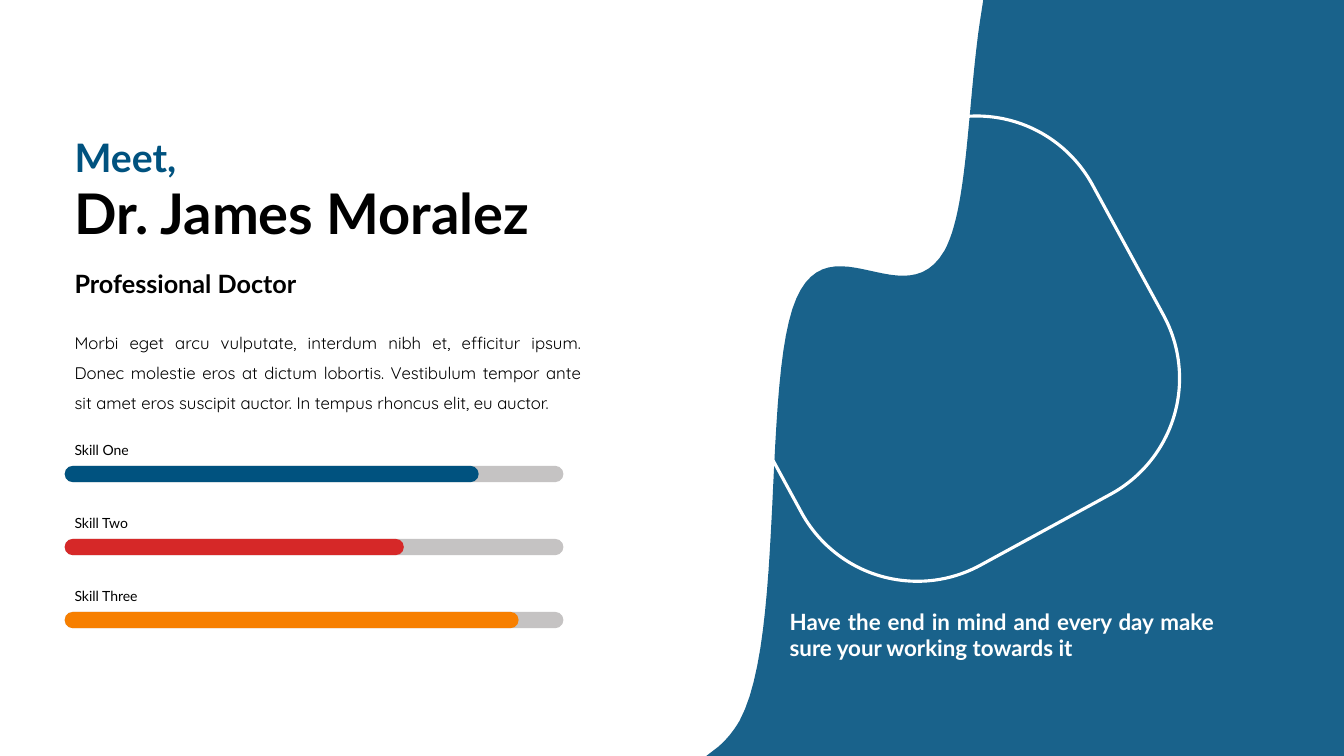
from dataclasses import dataclass

from lxml import etree
from pptx import Presentation
from pptx.dml.color import RGBColor
from pptx.enum.shapes import MSO_SHAPE
from pptx.enum.text import MSO_ANCHOR, MSO_AUTO_SIZE, PP_ALIGN
from pptx.oxml.ns import qn
from pptx.util import Cm, Pt

ROUND = MSO_SHAPE.ROUNDED_RECTANGLE
MIDDLE, TOP = MSO_ANCHOR.MIDDLE, MSO_ANCHOR.TOP
LEFT, JUSTIFY = PP_ALIGN.LEFT, PP_ALIGN.JUSTIFY
FIXED = MSO_AUTO_SIZE.NONE
WIDE, HIGH = 33.87, 19.05
STEPS = 24


@dataclass(frozen=True)
class Theme:
    blue: str = "00527F"
    red: str = "D62828"
    orange: str = "F77F00"
    track: str = "C5C3C3"
    black: str = "000000"
    white: str = "FFFFFF"
    head: str = "Lato"
    body: str = "Quicksand"
    name: int = 40
    greet: int = 28
    role: int = 18
    quote: int = 16
    text: int = 12
    label: int = 10


THEME = Theme()


def write(shape, text, size, color, font=THEME.head, bold=False,
          align=LEFT, anchor=MIDDLE, space=1.0):
    frame = shape.text_frame
    frame.word_wrap = True
    frame.auto_size = FIXED
    frame.vertical_anchor = anchor
    para = frame.paragraphs[0]
    para.alignment = align
    para.line_spacing = space
    run = para.add_run()
    run.text = text
    run.font.name = font
    run.font.size = Pt(size)
    run.font.bold = bold
    run.font.color.rgb = RGBColor.from_string(color)


def add_text(slide, box, text, size, color, **style):
    shape = slide.shapes.add_textbox(*map(Cm, box))
    write(shape, text, size, color, **style)


def paint(shape, color):
    shape.shadow.inherit = False
    shape.fill.solid()
    shape.fill.fore_color.rgb = RGBColor.from_string(color)
    shape.line.fill.background()


def add_pill(slide, box, color):
    pill = slide.shapes.add_shape(ROUND, *map(Cm, box))
    pill.adjustments[0] = 0.5
    paint(pill, color)


def bend(start, curve):
    """Return points along a cubic curve, without its start."""
    a, (b, c, d) = start, curve
    points = []
    for step in range(1, STEPS + 1):
        t = step / STEPS
        u = 1 - t
        points.append(tuple(
            u**3 * a[i] + 3 * u * u * t * b[i] + 3 * u * t * t * c[i] + t**3 * d[i]
            for i in (0, 1)))
    return points


def add_wave(slide, box):
    """Draw the blue panel with its wavy left edge."""
    left, top, width, height = box
    curves = [
        ((0.51, 18.64), (0.69, 18.42), (0.84, 18.16)),
        ((1.99, 16.05), (1.4, 9.5), (2.27, 7.52)),
        ((3.13, 5.56), (5.03, 8.0), (6.0, 6.32)),
        ((6.58, 5.28), (6.58, 2.74), (6.89, 0.58)),
    ]
    edge = [(0, height), (0.3, 18.82)]
    for curve in curves:
        edge += bend(edge[-1], curve)
    edge += [(6.98, 0), (width, 0), (width, height)]
    points = [(Cm(left + x), Cm(top + y)) for x, y in edge]
    pen = slide.shapes.build_freeform(*points[0])
    pen.add_line_segments(points[1:], close=True)
    wave = pen.convert_to_shape()
    paint(wave, THEME.blue)
    color = wave.fill._xPr.find(qn("a:solidFill"))[0]
    etree.SubElement(color, qn("a:alpha")).set("val", "90000")


def add_panel(slide, box):
    add_wave(slide, box)
    left, top = box[:2]
    ring = slide.shapes.add_shape(
        ROUND, Cm(left + 0.87), Cm(top + 3.59), Cm(10.39), Cm(10.39))
    ring.adjustments[0] = 0.32
    ring.rotation = -28.6
    ring.shadow.inherit = False
    ring.fill.background()
    ring.line.color.rgb = RGBColor.from_string(THEME.white)
    ring.line.width = Pt(2.25)
    add_text(slide, (left + 1.85, top + 15.19, 11.2, 1.63),
             "Have the end in mind and every day make sure your working towards it",
             THEME.quote, THEME.white, bold=True, align=JUSTIFY, anchor=TOP)


def add_intro(slide, box):
    left, top, width = box[:3]
    add_text(slide, (left, top, 5.92, 1.45), "Meet,",
             THEME.greet, THEME.blue, bold=True)
    title = slide.shapes.title
    title.left, title.top, title.width, title.height = map(
        Cm, (left, top + 0.38, 12.9, 3.68))
    write(title, "Dr. James Moralez", THEME.name, THEME.black,
          bold=True, space=0.9)
    add_text(slide, (left, top + 3.4, 8.2, 1.02), "Professional Doctor",
             THEME.role, THEME.black, bold=True)
    add_text(slide, (left, top + 4.77, width, 2.57),
             "Morbi eget arcu vulputate, interdum nibh et, efficitur ipsum. "
             "Donec molestie eros at dictum lobortis. Vestibulum tempor ante "
             "sit amet eros suscipit auctor. In tempus rhoncus elit, eu auctor.",
             THEME.text, THEME.black, font=THEME.body,
             align=JUSTIFY, anchor=TOP, space=1.5)


def add_skills(slide, box):
    left, top, width, height = box
    skills = [("Skill One", 0.83, THEME.blue),
              ("Skill Two", 0.68, THEME.red),
              ("Skill Three", 0.91, THEME.orange)]
    bar = 0.41
    drop = 0.74
    pitch = (height - drop - bar) / (len(skills) - 1)
    for row, (label, share, color) in enumerate(skills):
        y = top + row * pitch
        add_pill(slide, (left, y + drop, width, bar), THEME.track)
        add_pill(slide, (left, y + drop, width * share, bar), color)
        add_text(slide, (left, y, width, 0.69), label,
                 THEME.label, THEME.black)


def main():
    deck = Presentation()
    deck.slide_width, deck.slide_height = Cm(WIDE), Cm(HIGH)
    slide = deck.slides.add_slide(deck.slide_layouts[5])
    add_panel(slide, (17.8, 0, WIDE - 17.8, HIGH))
    add_intro(slide, (1.63, 3.23, 13.28, 7.34))
    add_skills(slide, (1.63, 11.0, 12.57, 4.83))
    deck.save("out.pptx")


if __name__ == "__main__":
    main()
